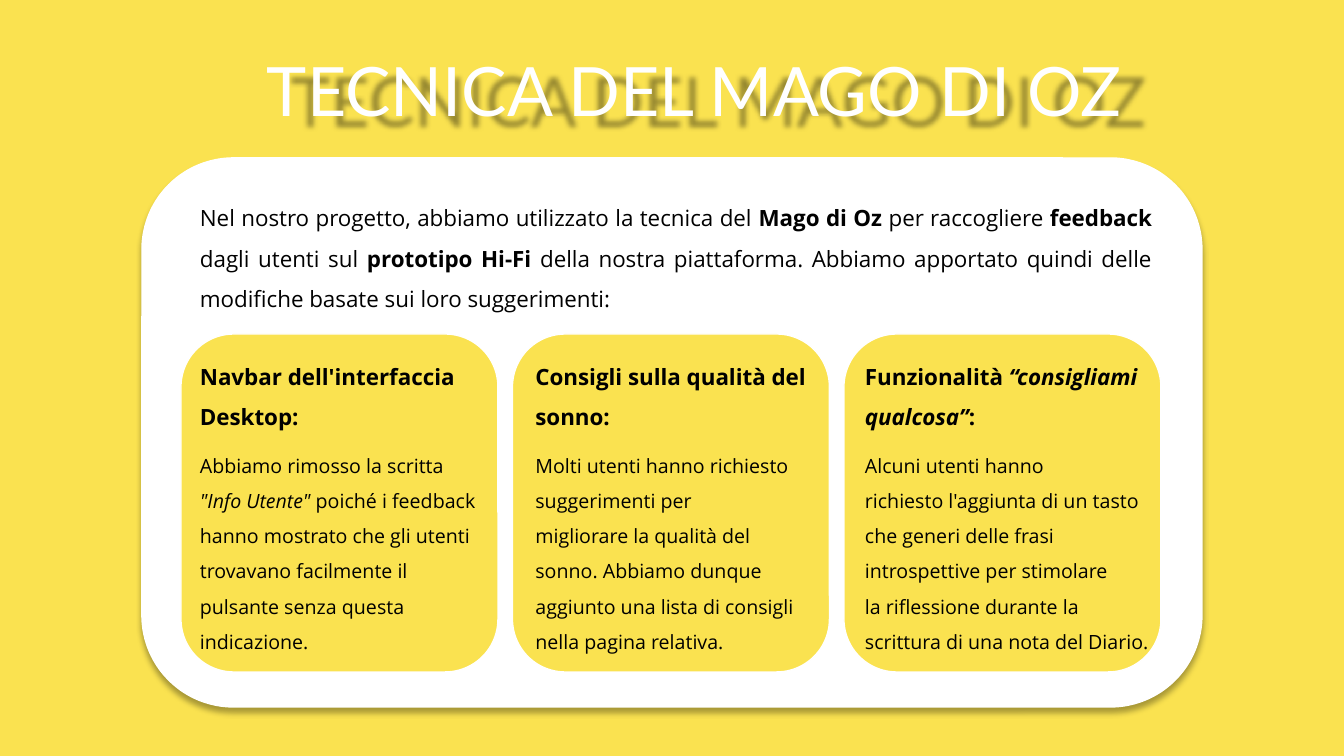
from lxml import etree
from pptx import Presentation, util as u
from pptx.dml.color import RGBColor
from pptx.enum import shapes, text
from pptx.oxml import ns

YELLOW = RGBColor(0xFA, 0xE2, 0x50)
WHITE = RGBColor(0xFF, 0xFF, 0xFF)
BLACK = RGBColor(0, 0, 0)
PX = 914400 / 100.8
WIDTH, HEIGHT = 1344, 756
HEADING, BODY = 16, 14

INTRO = [("Nel nostro progetto, abbiamo utilizzato la tecnica del ", ""),
         ("Mago di Oz ", "b"), ("per raccogliere ", ""), ("feedback", "b"),
         (" dagli utenti sul ", ""), ("prototipo Hi-Fi ", "b"),
         ("della nostra piattaforma. Abbiamo apportato quindi delle modifiche "
          "basate sui loro suggerimenti:", "")]

# Each card: text inset, text width, heading spans, body paragraphs
CARDS = [
    (9, 310, [("Navbar dell'interfaccia Desktop:", "b")],
     [[("Abbiamo rimosso la scritta ", ""), ('"Info Utente" ', "i"),
       ("poiché i feedback hanno mostrato che gli utenti trovavano facilmente "
        "il pulsante senza questa indicazione.", "")]]),
    (13, 292, [("Consigli sulla qualità del sonno:", "b")],
     [[("Molti utenti hanno richiesto suggerimenti per", "")],
      [("migliorare la qualità del sonno. Abbiamo dunque aggiunto una lista "
        "di consigli", "")],
      [("nella pagina relativa.", "")]]),
    (11, 306, [("Funzionalità ", "b"), ("“consigliami qualcosa”", "bi"), (":", "b")],
     [[("Alcuni utenti hanno", "")],
      [("richiesto l'aggiunta di un tasto che generi delle frasi introspettive "
        "per stimolare", "")],
      [("la riflessione durante la scrittura di una nota del Diario.", "")]]),
]


def px(*lengths):
    return [round(length * PX) for length in lengths]


def add_shadow(shape, blur, distance, angle, opacity):
    """Give the shape an outer black shadow; lengths in points."""
    shape.shadow.inherit = False
    effects = shape._element.spPr.find(ns.qn("a:effectLst"))
    shadow = etree.SubElement(effects, ns.qn("a:outerShdw"), blurRad=str(u.Pt(blur)),
                              dist=str(u.Pt(distance)), dir=str(angle * 60000),
                              algn="tl", rotWithShape="0")
    colour = etree.SubElement(shadow, ns.qn("a:srgbClr"), val=str(BLACK))
    etree.SubElement(colour, ns.qn("a:alpha"), val=str(opacity * 1000))


def add_panel(page, kind, box, fill, line=None):
    panel = page.shapes.add_shape(kind, *px(*box))
    panel.shadow.inherit = False
    panel.fill.solid()
    panel.fill.fore_color.rgb = fill
    if line is None:
        panel.line.fill.background()
    else:
        panel.line.color.rgb = line
        panel.line.width = u.Pt(1)
    return panel


def add_spans(para, spans, size, font="Open Sans", colour=BLACK):
    for words, style in spans:
        span = para.add_run()
        span.text = words
        span.font.name = font
        span.font.size = u.Pt(size)
        span.font.color.rgb = colour
        span.font.bold = "b" in style
        span.font.italic = "i" in style


def add_text(page, box, paragraphs, align=text.PP_ALIGN.LEFT):
    """Write (spans, size, space before) paragraphs in a wrapping box."""
    frame = page.shapes.add_textbox(*px(*box)).text_frame
    frame.word_wrap = True
    for index, (spans, size, before) in enumerate(paragraphs):
        para = frame.add_paragraph() if index else frame.paragraphs[0]
        para.alignment = align
        para.line_spacing = 1.5
        if before:
            para.space_before = u.Pt(before)
        add_spans(para, spans, size)


def add_background(page):
    backdrop = add_panel(page, shapes.MSO_SHAPE.RECTANGLE, (0, 0, WIDTH, HEIGHT), YELLOW)
    page.shapes._spTree.insert(2, backdrop._element)


def add_title(page, box):
    title = page.shapes.title
    title.left, title.top, title.width, title.height = px(*box)
    frame = title.text_frame
    frame.word_wrap = True
    frame.auto_size = text.MSO_AUTO_SIZE.NONE
    frame.vertical_anchor = text.MSO_ANCHOR.BOTTOM
    para = frame.paragraphs[0]
    para.alignment = text.PP_ALIGN.CENTER
    para.line_spacing = 0.9
    add_spans(para, [("TECNICA DEL MAGO DI OZ", "")], 48.6, "Lato", WHITE)
    add_shadow(title, 4, 18, 22, 40)


def add_card(page, box, card):
    left, top, width, height = box
    inset, text_width, heading, body = card
    add_panel(page, shapes.MSO_SHAPE.ROUNDED_RECTANGLE, box, YELLOW, WHITE)
    paragraphs = [(heading, HEADING, 0)]
    paragraphs += [(spans, BODY, 0 if index else 8) for index, spans in enumerate(body)]
    add_text(page, (left + inset, top + 11, text_width, height - 24), paragraphs)


def add_content(page, box):
    left, top, width, height = box
    panel = add_panel(page, shapes.MSO_SHAPE.ROUNDED_RECTANGLE, box, WHITE, WHITE)
    add_shadow(panel, 4, 4, 90, 33)
    add_text(page, (left + 48, top + 28, width - 88, 128), [(INTRO, HEADING, 0)],
             text.PP_ALIGN.JUSTIFY)
    card_width, gap = 317, 14.5
    for index, card in enumerate(CARDS):
        card_left = left + 39 + index * (card_width + gap)
        add_card(page, (card_left, top + 176, card_width, 338), card)


def main():
    deck = Presentation()
    deck.slide_width, deck.slide_height = px(WIDTH, HEIGHT)
    page = deck.slides.add_slide(deck.slide_layouts[5])
    add_background(page)
    add_title(page, (115, 37, 1159, 99))
    add_content(page, (142, 158, 1060, 549))
    deck.save("out.pptx")


if __name__ == "__main__":
    main()
